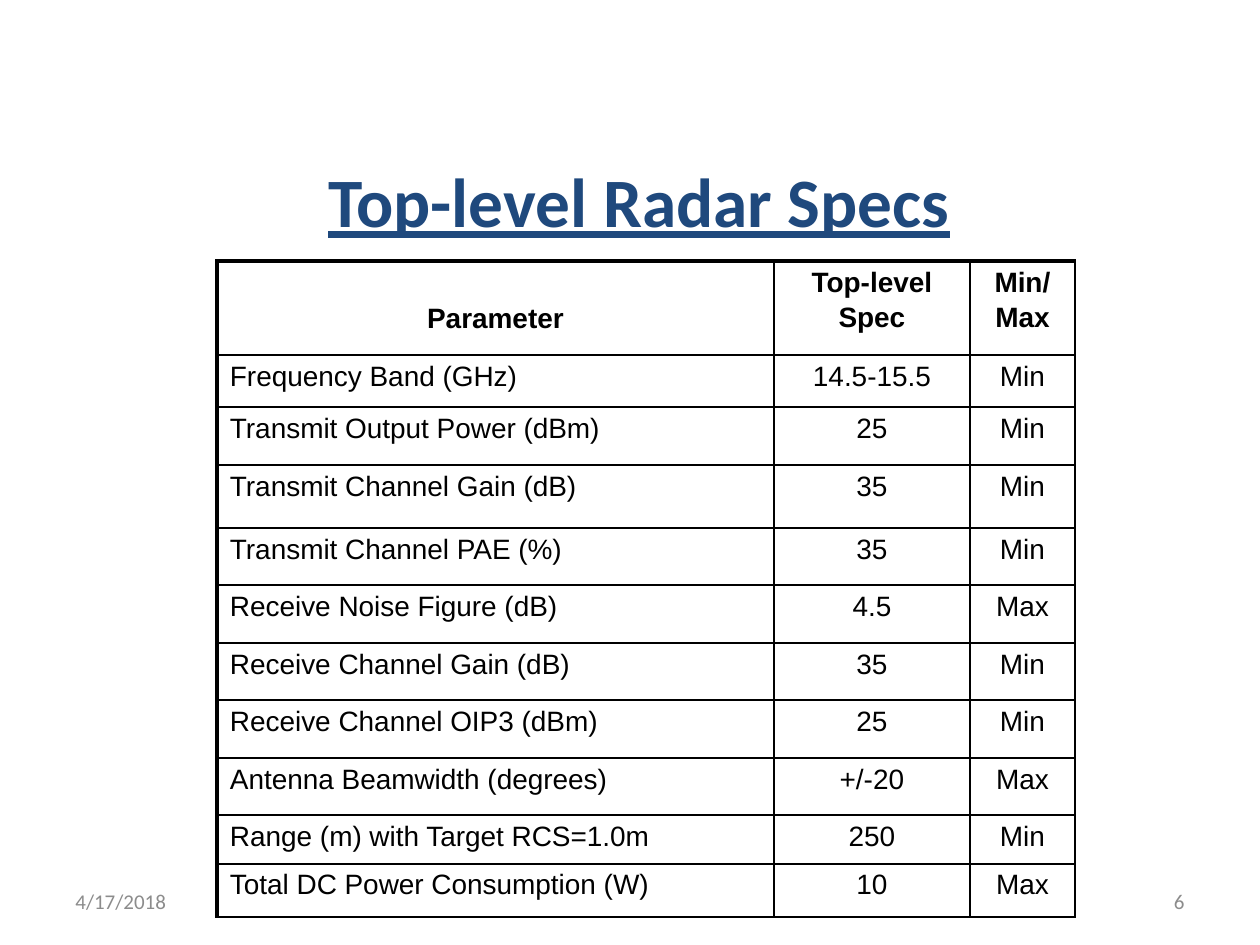
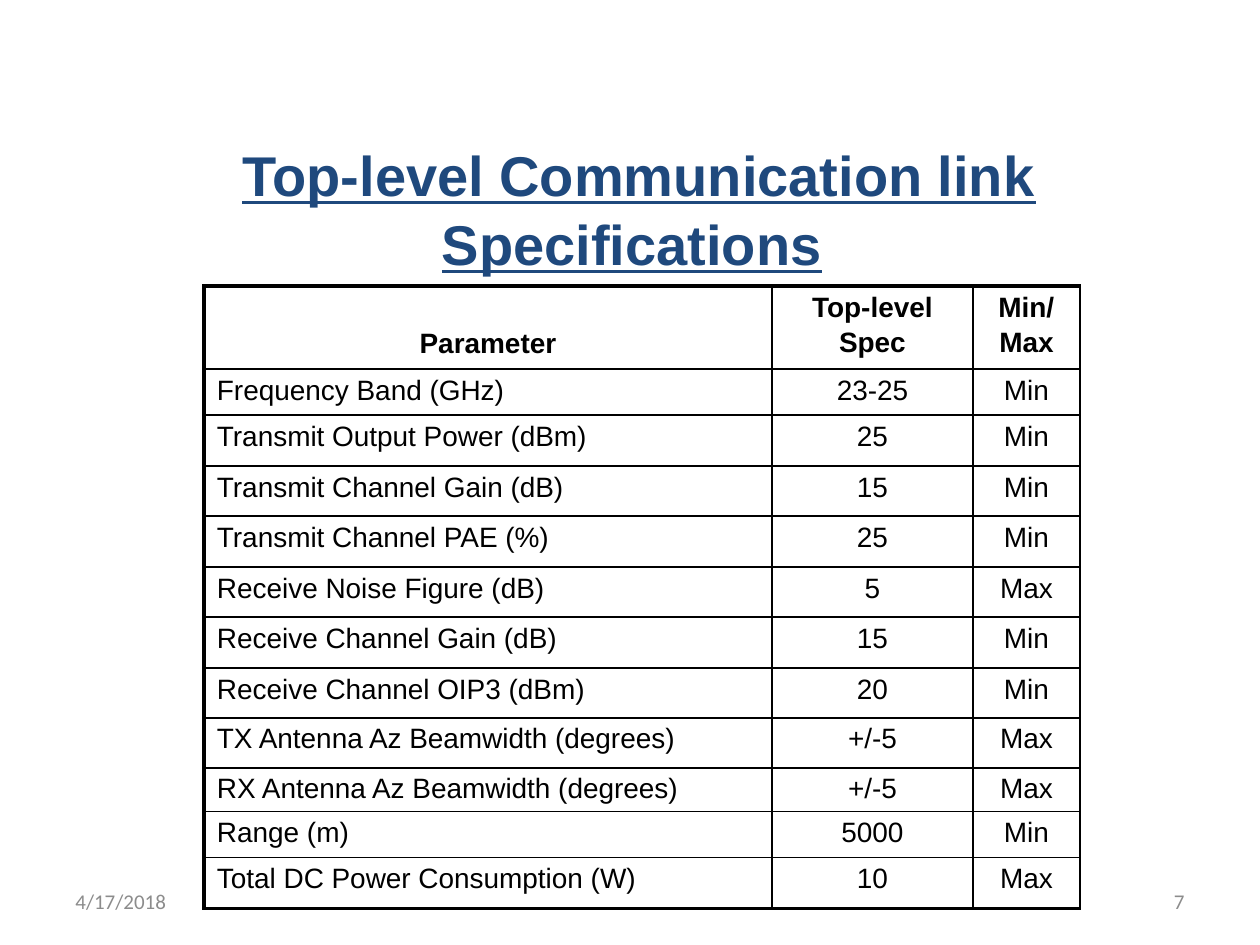
from lxml.etree import SubElement
from pptx import Presentation
from pptx.dml.color import RGBColor
from pptx.enum.text import MSO_ANCHOR, PP_ALIGN
from pptx.oxml.ns import qn
from pptx.util import Pt

PX = 914400 / 126
NAVY, GRAY, BLACK = "1F497D", "8C8C8C", "000000"
THIN, THICK = Pt(1), Pt(2.25)
LEFT, MID, RIGHT = PP_ALIGN.LEFT, PP_ALIGN.CENTER, PP_ALIGN.RIGHT


def px(n):
    return round(n * PX)


def write(para, text, size, face, color, bold=False, line=False):
    run = para.add_run()
    run.text = text
    font = run.font
    font.size, font.name, font.bold = Pt(size), face, bold
    font.underline = line
    font.color.rgb = RGBColor.from_string(color)


pages = [
    {
        "title": (72, 156, 1134, 88),
        "runs": [("Top-level Radar Specs", 39.6, "Calibri", True)],
        "place": (217, 261),
        "cols": [557, 196, 105],
        "rows": [94, 52, 58, 63, 57, 58, 57, 58, 57, 49, 53],
        "base": THIN,
        "specs": [
            ("Frequency Band (GHz)", "14.5-15.5", "Min"),
            ("Transmit Output Power (dBm)", "25", "Min"),
            ("Transmit Channel Gain (dB)", "35", "Min"),
            ("Transmit Channel PAE (%)", "35", "Min"),
            ("Receive Noise Figure (dB)", "4.5", "Max"),
            ("Receive Channel Gain (dB)", "35", "Min"),
            ("Receive Channel OIP3 (dBm)", "25", "Min"),
            ("Antenna Beamwidth (degrees)", "+/-20", "Max"),
            ("Range (m) with Target RCS=1.0m", "250", "Min"),
            ("Total DC Power Consumption (W)", "10", "Max"),
        ],
    },
    {
        "title": (49, 140, 1166, 130),
        "runs": [
            (" ", 36, "Calibri", False),
            ("Top-level Communication link Specifications", 32, "Arial", True),
        ],
        "place": (204, 286),
        "cols": [568, 201, 107],
        "rows": [83, 46, 51, 50, 51, 50, 51, 50, 50, 44, 46, 51],
        "base": THICK,
        "specs": [
            ("Frequency Band (GHz)", "23-25", "Min"),
            ("Transmit Output Power (dBm)", "25", "Min"),
            ("Transmit Channel Gain (dB)", "15", "Min"),
            ("Transmit Channel PAE (%)", "25", "Min"),
            ("Receive Noise Figure (dB)", "5", "Max"),
            ("Receive Channel Gain (dB)", "15", "Min"),
            ("Receive Channel OIP3 (dBm)", "20", "Min"),
            ("TX Antenna Az Beamwidth (degrees)", "+/-5", "Max"),
            ("RX Antenna Az Beamwidth (degrees)", "+/-5", "Max"),
            ("Range (m)", "5000", "Min"),
            ("Total DC Power Consumption (W)", "10", "Max"),
        ],
    },
]
head = ("Parameter", "Top-level\nSpec", "Min/\nMax")

prs = Presentation()
prs.slide_width, prs.slide_height = px(1260), px(945)

for num, page in enumerate(pages, 6):
    slide = prs.slides.add_slide(prs.slide_layouts[5])
    title = slide.shapes.title
    title.left, title.top, title.width, title.height = map(px, page["title"])
    frame = title.text_frame
    frame.word_wrap = True
    frame.vertical_anchor = MSO_ANCHOR.MIDDLE
    frame.paragraphs[0].alignment = MID
    for text, size, face, line in page["runs"]:
        write(frame.paragraphs[0], text, size, face, NAVY, True, line)

    cols, rows = page["cols"], page["rows"]
    left, top = page["place"]
    grid = slide.shapes.add_table(
        len(rows), len(cols), px(left), px(top), px(sum(cols)), px(sum(rows))
    ).table
    grid.first_row = grid.horz_banding = False
    for col, width in zip(grid.columns, cols):
        col.width = px(width)
    for row, height in zip(grid.rows, rows):
        row.height = px(height)

    for r, texts in enumerate([head] + page["specs"]):
        for c, text in enumerate(texts):
            cell = grid.cell(r, c)
            cell.margin_left = cell.margin_right = px(13)
            cell.margin_top = px(42 if r == c == 0 else 6)
            cell.margin_bottom = px(6)
            for i, part in enumerate(text.split("\n")):
                frame = cell.text_frame
                para = frame.add_paragraph() if i else frame.paragraphs[0]
                para.alignment = LEFT if r and c == 0 else MID
                para.space_before = px(4 * i)
                write(para, part, 16, "Arial", BLACK, r == 0)
            edges = {
                "a:lnL": THIN if c else THICK,
                "a:lnR": THIN,
                "a:lnT": THIN if r else THICK,
                "a:lnB": page["base"] if r == len(rows) - 1 else THIN,
            }
            props = cell._tc.get_or_add_tcPr()
            for tag, width in edges.items():
                edge = SubElement(props, qn(tag), w=str(width))
                fill = SubElement(edge, qn("a:solidFill"))
                SubElement(fill, qn("a:srgbClr"), val=BLACK)
            cell.fill.background()

    for x, text, align in ((63, "4/17/2018", LEFT), (903, str(num), RIGHT)):
        foot = slide.shapes.add_textbox(px(x), px(876), px(294), px(50))
        frame = foot.text_frame
        frame.word_wrap = True
        frame.vertical_anchor = MSO_ANCHOR.MIDDLE
        frame.paragraphs[0].alignment = align
        write(frame.paragraphs[0], text, 12, "Calibri", GRAY)

prs.save("out.pptx")
